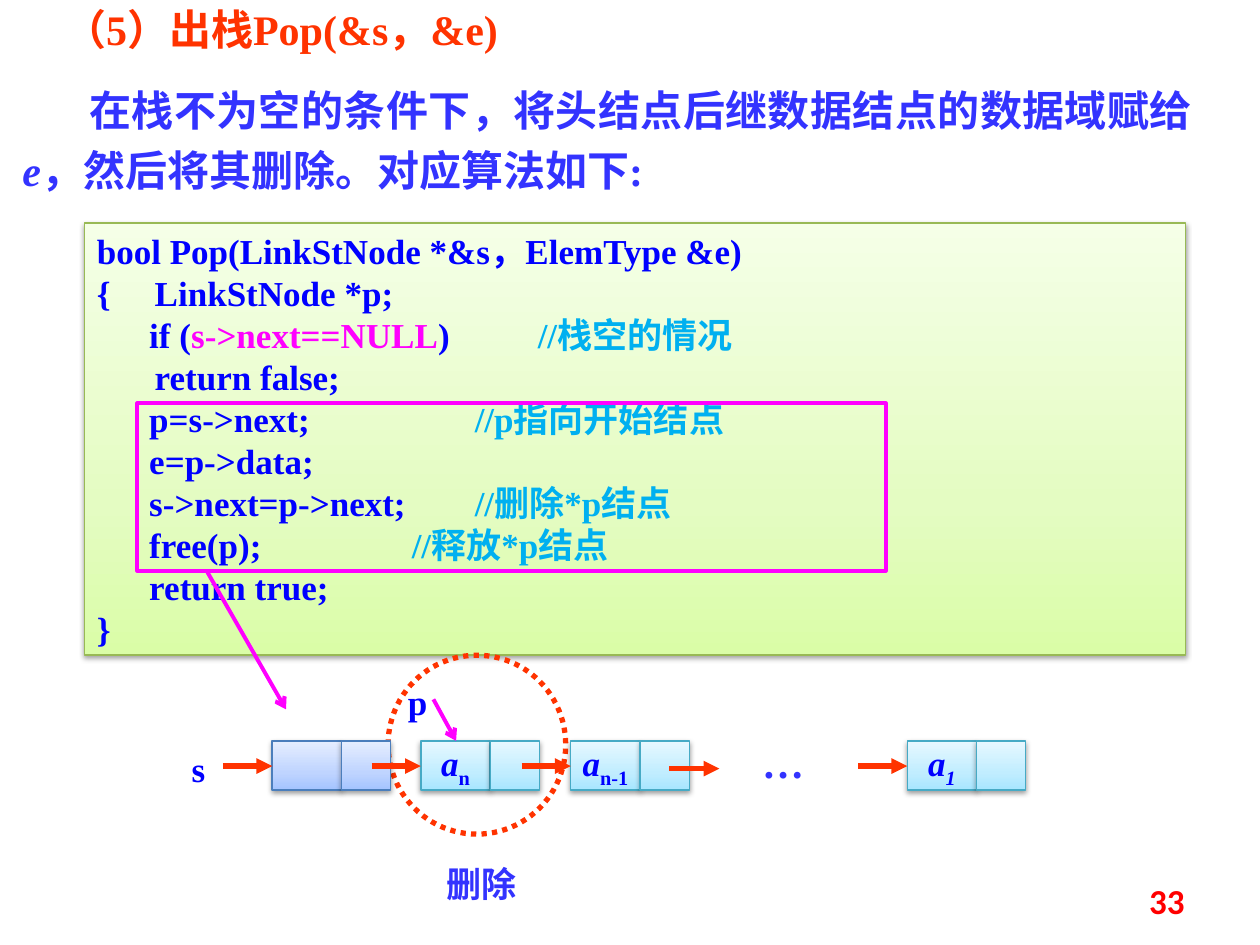
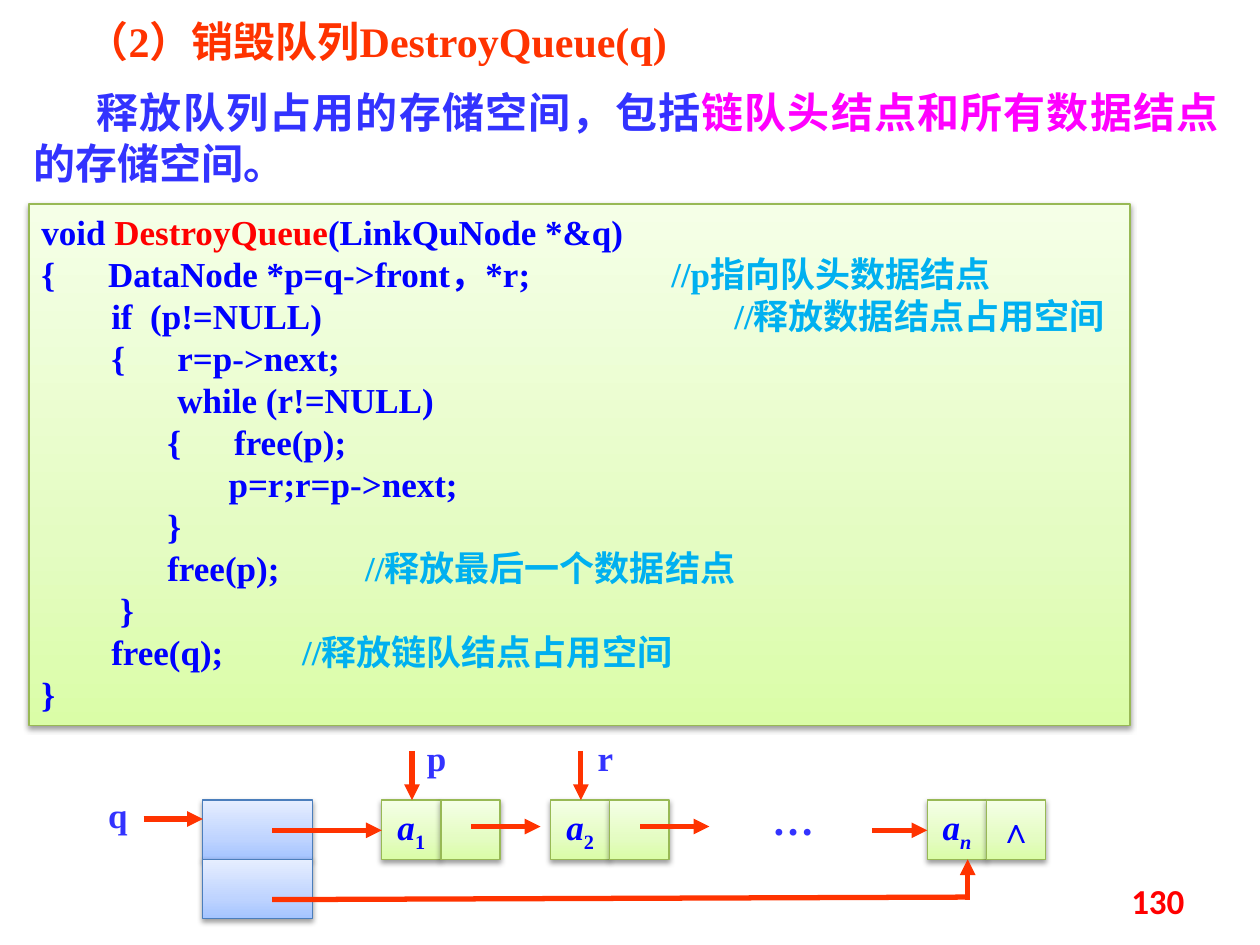
from dataclasses import dataclass
from lxml import etree
from pptx import Presentation
from pptx.dml.color import RGBColor
from pptx.enum.dml import MSO_LINE
from pptx.enum.shapes import MSO_CONNECTOR, MSO_SHAPE
from pptx.enum.text import MSO_ANCHOR, PP_ALIGN
from pptx.oxml.ns import qn
from pptx.util import Inches, Pt

LEFT, MID, RIGHT, JUST = PP_ALIGN.LEFT, PP_ALIGN.CENTER, PP_ALIGN.RIGHT, PP_ALIGN.JUSTIFY
TOP, HALF = MSO_ANCHOR.TOP, MSO_ANCHOR.MIDDLE
RECT, OVAL = MSO_SHAPE.RECTANGLE, MSO_SHAPE.OVAL
LINE, DOTS = MSO_CONNECTOR.STRAIGHT, MSO_LINE.ROUND_DOT


@dataclass(frozen=True)
class Theme:
    serif: str = "Times New Roman"
    sans: str = "Calibri"
    han: str = "Noto Sans CJK SC"
    title: str = "FF3300"
    text: str = "3333FF"
    code: str = "0000FF"
    note: str = "00B0F0"
    mark: str = "FF00FF"
    red: str = "FF0000"
    big: int = 24
    small: int = 20
    bold: float = 3
    thin: float = 2.25
    edge: float = 0.75
    green: tuple = ("DAFDA7", "E4FCC2", "F5FFE7", "98B955")
    blue: tuple = ("A4C4FF", "BFD4FF", "E6EEFF", "4B7EBC")
    aqua: tuple = ("A7E6FF", "C1EDFF", "E7F8FF", "46AAC5")


T = Theme()


def rgb(tone):
    return RGBColor.from_string(tone)


def node(root, tag, **attrs):
    return etree.SubElement(root, qn(tag), {k: str(v) for k, v in attrs.items()})


def put(item, form):
    for name, value in form.items():
        setattr(item, name, value)


def write(para, runs, size, face=T.serif):
    for text, tone, *more in runs:
        run = para.add_run()
        run.text = text
        form = dict(name=face, size=Pt(size), bold=True)
        base = 0
        for extra in more:
            if extra == "sub":
                base = -25000
            else:
                form[extra] = True
        put(run.font, form)
        run.font.color.rgb = rgb(tone)
        props = run.font._element
        if base:
            props.set("baseline", str(base))
        if any(ord(c) > 0x2FFF for c in text):
            node(props, "a:ea", typeface=T.han)


def label(slide, box, text, tone, size=T.small, face=T.serif, align=MID, anchor=TOP):
    frame = slide.shapes.add_textbox(*map(Inches, box)).text_frame
    put(frame, dict(word_wrap=True, vertical_anchor=anchor))
    para = frame.paragraphs[0]
    para.alignment = align
    write(para, [(text, tone)], size, face)


def intro(slide, box, paras):
    frame = slide.shapes.add_textbox(*map(Inches, box)).text_frame
    frame.word_wrap = True
    for i, (dent, pitch, runs) in enumerate(paras):
        para = frame.add_paragraph() if i else frame.paragraphs[0]
        put(para, dict(alignment=JUST, line_spacing=Pt(pitch)))
        if i:
            para.space_before = Pt(12)
        para._p.get_or_add_pPr().set("indent", str(Inches(dent)))
        write(para, runs, T.big)


def panel(slide, box, tones):
    shape = slide.shapes.add_shape(RECT, *map(Inches, box))
    *stops, edge = tones
    shape.line.color.rgb = rgb(edge)
    shape.line.width = Pt(T.edge)
    fill = etree.Element(qn("a:gradFill"), rotWithShape="1")
    ramp = node(fill, "a:gsLst")
    for pos, tone in zip((0, 35000, 100000), stops):
        node(node(ramp, "a:gs", pos=pos), "a:srgbClr", val=tone)
    node(fill, "a:lin", ang=16200000, scaled=1)
    props = shape._element.spPr
    props.find(qn("a:prstGeom")).addnext(fill)
    shade = node(node(props, "a:effectLst"), "a:outerShdw", blurRad=Pt(3.1),
                 dist=Pt(1.6), dir=5400000, rotWithShape=0)
    node(node(shade, "a:srgbClr", val="000000"), "a:alpha", val=38000)
    return shape


def code(slide, box, lines):
    frame = panel(slide, box, T.green).text_frame
    put(frame, dict(word_wrap=True, vertical_anchor=TOP))
    for i, (stops, *runs) in enumerate(lines):
        para = frame.add_paragraph() if i else frame.paragraphs[0]
        put(para, dict(alignment=LEFT, line_spacing=Pt(24)))
        if stops:
            tabs = node(para._p.get_or_add_pPr(), "a:tabLst")
            for stop in stops:
                node(tabs, "a:tab", pos=Inches(stop), algn="l")
        write(para, [(r, T.code) if isinstance(r, str) else r for r in runs], T.small)


def cell(slide, box, tones, *runs):
    frame = panel(slide, box, tones).text_frame
    put(frame, dict(word_wrap=False, vertical_anchor=HALF))
    frame.paragraphs[0].alignment = MID
    write(frame.paragraphs[0], runs, T.small)


def item(sub, *more):
    return ("a", T.code, "italic"), (sub, T.code, "sub", *more)


def outline(slide, kind, box, tone, width, dash=None):
    shape = slide.shapes.add_shape(kind, *map(Inches, box))
    shape.shadow.inherit = False
    shape.fill.background()
    shape.line.color.rgb = rgb(tone)
    put(shape.line, dict(width=Pt(width), dash_style=dash))


def arrow(slide, start, end, tone=T.title, width=T.bold, head="triangle"):
    wire = slide.shapes.add_connector(LINE, *map(Inches, (*start, *end)))
    wire.line.color.rgb = rgb(tone)
    wire.line.width = Pt(width)
    if head:
        node(wire.line._get_or_add_ln(), "a:tailEnd", type=head)
    node(wire._element.spPr, "a:effectLst")


def number(slide, text):
    label(slide, (7.17, 6.95, 2.33, 0.4), text, T.red, face=T.sans, align=RIGHT, anchor=HALF)


def stack(slide):
    intro(slide, (0.08, 0.13, 9.48, 1.51), [
        (0.33, 18, [("（5）出栈Pop(&s，&e)", T.title)]),
        (0.53, 34.3, [("在栈不为空的条件下，将头结点后继数据结点的数据域赋给", T.text),
                      ("e", T.text, "italic"), ("，然后将其删除。对应算法如下:", T.text)])])
    code(slide, (0.67, 1.77, 8.74, 3.43), [
        ((), "bool Pop(LinkStNode *&s，ElemType &e)"),
        ((0.46,), "{\tLinkStNode *p;"),
        ((), "      if (", ("s->next==NULL", T.mark), ")\t\t", ("//栈空的情况", T.note)),
        ((), "\treturn false;"),
        ((), "      p=s->next;\t\t\t", ("//p指向开始结点", T.note)),
        ((), "      e=p->data;"),
        ((), "      s->next=p->next;\t\t", ("//删除*p结点", T.note)),
        ((), "      free(p);\t\t\t", ("//释放*p结点", T.note)),
        ((), "      return true;"),
        ((), "}")])
    outline(slide, OVAL, (3.08, 5.2, 1.41, 1.42), T.title, T.bold, DOTS)
    top, tall, wide = 5.88, 0.39, 0.55
    nodes = [(2.16, T.blue, ()), (3.34, T.aqua, item("n")), (4.53, T.aqua, item("n-1")),
             (7.2, T.aqua, item("1", "italic"))]
    for x, tones, runs in nodes:
        cell(slide, (x, top, wide, tall), tones, *runs)
        cell(slide, (x + wide, top, tall, tall), tones)
    for x, *_ in nodes:
        arrow(slide, (x - 0.39, 6.08), (x, 6.08))
    arrow(slide, (5.31, 6.1), (5.71, 6.1))
    label(slide, (1.38, 5.88, 0.39, 0.43), "s", T.code)
    label(slide, (5.94, 5.8, 0.55, 0.5), "…", T.text, T.big)
    label(slide, (3.28, 6.8, 1.09, 0.44), "删除", T.text, face=T.han)
    label(slide, (3.12, 5.35, 0.39, 0.44), "p", T.code)
    outline(slide, RECT, (1.09, 3.2, 5.94, 1.33), T.mark, T.thin)
    for start, end in (((3.44, 5.55), (3.62, 5.88)), ((1.64, 4.53), (2.27, 5.63))):
        arrow(slide, start, end, T.mark, T.thin, "arrow")
    number(slide, "33")


def queue(slide):
    intro(slide, (0.17, 0.08, 9.6, 1.51), [
        (0.42, 28.6, [("（2）销毁队列DestroyQueue(q)", T.title)]),
        (0.5, 28.6, [("释放队列占用的存储空间，包括", T.text),
                     ("链队头结点和所有数据结点", T.mark), ("的存储空间。", T.text)])])
    code(slide, (0.23, 1.62, 8.74, 4.14), [
        ((), "void ", ("DestroyQueue", T.red), "(LinkQuNode *&q)"),
        ((0.53, 5), "{\tDataNode *p=q->front，*r;\t", ("//p指向队头数据结点", T.note)),
        ((), "        if  (p!=NULL)\t\t", ("//释放数据结点占用空间", T.note)),
        ((1.08,), "        {\tr=p->next;"),
        ((), "\twhile (r!=NULL)"),
        ((1, 1.53), "\t{\tfree(p);"),
        ((), "\t       p=r;r=p->next;"),
        ((), "\t}"),
        ((), "\tfree(p);\t\t", (" //释放最后一个数据结点", T.note)),
        ((), "         }"),
        ((), "        free(q);\t\t", (" //释放链队结点占用空间", T.note)),
        ((), "}")])
    top, side = 6.35, 0.47
    for row in range(2):
        cell(slide, (1.61, top + row * side, 0.87, side), T.blue)
    for x, runs, link in ((3.03, item("1"), ()), (4.37, item("2"), ()),
                          (7.36, item("n", "italic"), [("∧", T.code)])):
        cell(slide, (x, top, side, side), T.green, *runs)
        cell(slide, (x + side, top, side, side), T.green, *link)
    for x, end, y in ((1.14, 1.61, 6.5), (2.16, 3.03, 6.59), (3.74, 4.29, 6.56),
                      (5.08, 5.63, 6.56), (6.92, 7.36, 6.59)):
        arrow(slide, (x, y), (end, y))
    for x, name in ((3.27, "p"), (4.61, "r")):
        arrow(slide, (x, 5.96), (x, top))
        label(slide, (x - 0.08, 5.8, 0.55, 0.43), name, T.text)
    arrow(slide, (2.16, 7.14), (7.69, 7.12), head=None)
    arrow(slide, (7.68, 7.14), (7.68, 6.82))
    label(slide, (0.7, 6.25, 0.47, 0.43), "q", T.text)
    label(slide, (5.86, 6.25, 0.87, 0.5), "…", T.text, T.big)
    number(slide, "130")


def main():
    deck = Presentation()
    put(deck, dict(slide_width=Inches(10), slide_height=Inches(7.5)))
    for draw in (stack, queue):
        draw(deck.slides.add_slide(deck.slide_layouts[6]))
    deck.save("out.pptx")


if __name__ == "__main__":
    main()
